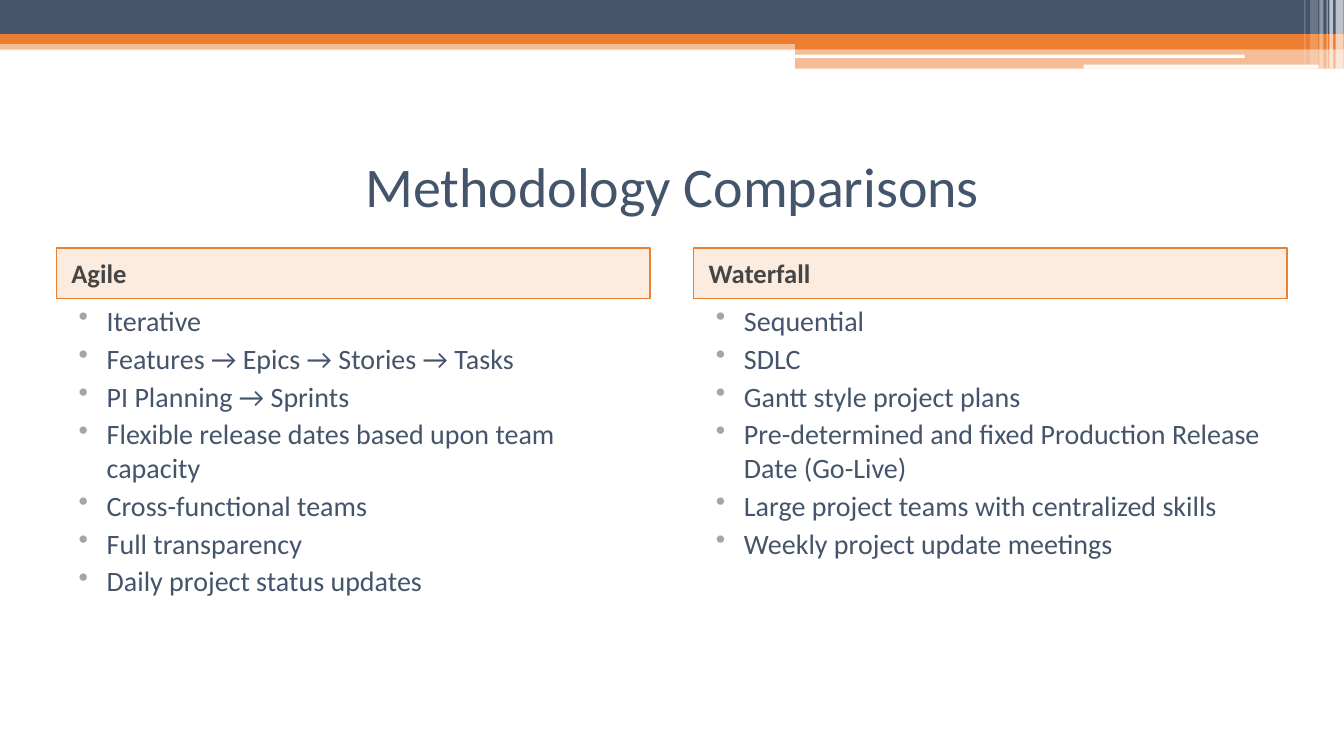
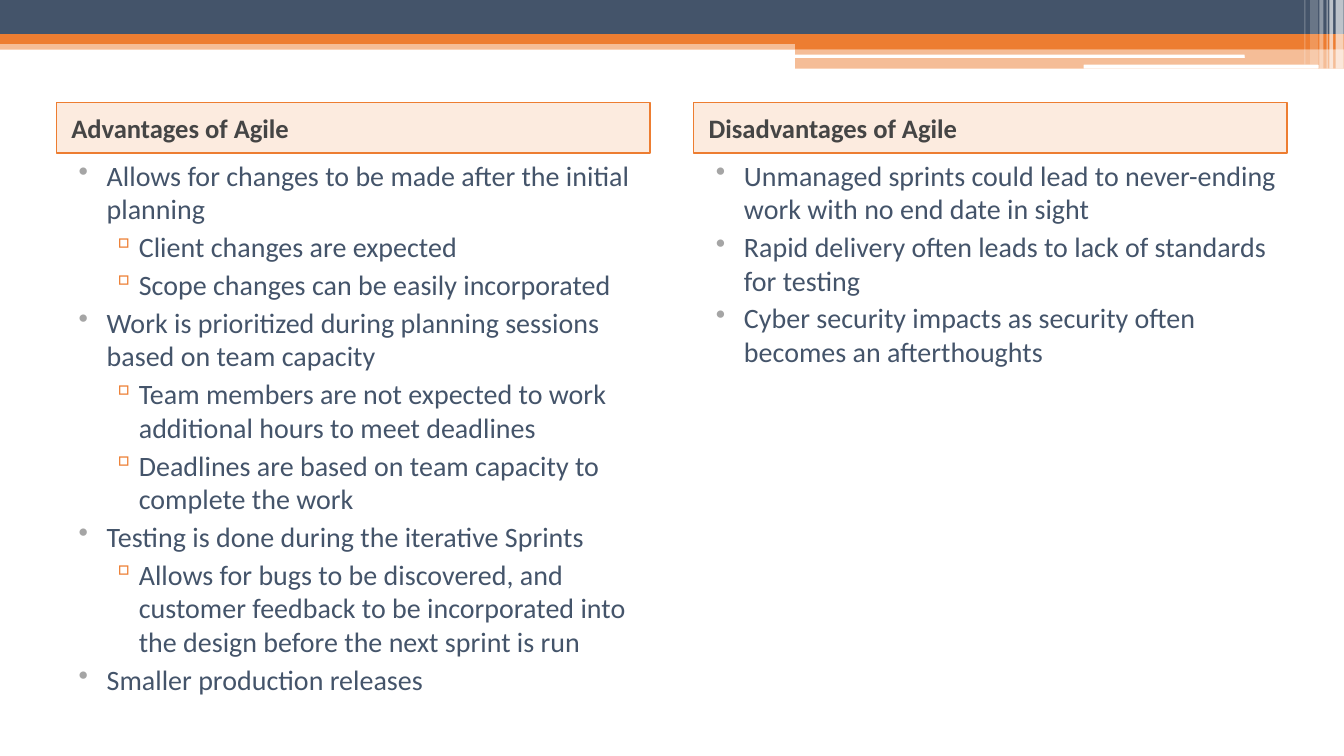
from lxml import etree
from pptx import Presentation
from pptx import util as u
from pptx.dml.color import RGBColor
from pptx.enum import shapes, text
from pptx.oxml.ns import qn

COLORS = {
    "navy": "44546A",
    "orange": "ED7D31",
    "peach": "F4B183",
    "gray": "A5A5A5",
    "dark": "454545",
    "white": "FFFFFF",
}

# Text formats
TITLE = {"size": u.Pt(40), "name": "Calibri", "bold": False, "color": "navy"}
HEADING = {"size": u.Pt(19), "name": "Calibri", "bold": True, "color": "dark"}
BODY = {"size": u.Pt(20), "name": "Calibri", "bold": False, "color": "navy"}

# Bullet levels: left margin, hanging indent, character, colour
LEVELS = [
    (u.Cm(1.02), u.Cm(-0.71), "•", "gray"),
    (u.Cm(1.83), u.Cm(-0.69), "▫", "orange"),
]

RECT = shapes.MSO_SHAPE.RECTANGLE
ROUNDED = shapes.MSO_SHAPE.ROUNDED_RECTANGLE

# Header decoration: shape, left, top, width, height (cm), colour, opacity (%)
HEADER = [
    (RECT, 0, 1.02, 33.87, 0.23, "orange", 50),
    (RECT, 0, 0, 33.87, 0.86, "navy", 100),
    (RECT, 0, 0.86, 33.87, 0.25, "orange", 100),
    (RECT, 20.04, 0.99, 13.83, 0.25, "orange", 100),
    (RECT, 20.04, 1.23, 13.83, 0.5, "orange", 50),
    (ROUNDED, 20.02, 1.38, 11.35, 0.08, "white", 100),
    (ROUNDED, 27.31, 1.63, 5.92, 0.1, "white", 100),
    (RECT, 33.66, 0, 0.2, 1.73, "white", 65),
    (RECT, 33.5, 0, 0.1, 1.73, "white", 65),
    (RECT, 33.43, 0, 0.03, 1.73, "white", 60),
    (RECT, 33.25, 0, 0.1, 1.73, "white", 40),
    (RECT, 33.02, 0, 0.2, 1.63, "white", 20),
    (RECT, 32.87, 0, 0.03, 1.63, "white", 30),
]

# Column grid (cm)
COLUMN_LEFT, COLUMN_WIDTH, COLUMN_STEP = 1.42, 14.96, 16.06
HEADING_HEIGHT, BODY_BOTTOM = 1.27, 18.31

# Slide content: each column is a heading and (level, wording) items
SLIDES = [
    {
        "title": "Methodology Comparisons",
        "top": 6.25,
        "columns": [
            ("Agile", [
                (0, "Iterative"),
                (0, "Features → Epics → Stories → Tasks"),
                (0, "PI Planning → Sprints"),
                (0, "Flexible release dates based upon team capacity"),
                (0, "Cross-functional teams"),
                (0, "Full transparency"),
                (0, "Daily project status updates"),
            ]),
            ("Waterfall", [
                (0, "Sequential"),
                (0, "SDLC"),
                (0, "Gantt style project plans"),
                (0, "Pre-determined and fixed Production Release Date (Go-Live)"),
                (0, "Large project teams with centralized skills"),
                (0, "Weekly project update meetings"),
            ]),
        ],
    },
    {
        "title": None,
        "top": 2.59,
        "columns": [
            ("Advantages of Agile", [
                (0, "Allows for changes to be made after the initial planning"),
                (1, "Client changes are expected"),
                (1, "Scope changes can be easily incorporated"),
                (0, "Work is prioritized during planning sessions based on team capacity"),
                (1, "Team members are not expected to work additional hours to meet deadlines"),
                (1, "Deadlines are based on team capacity to complete the work"),
                (0, "Testing is done during the iterative Sprints"),
                (1, "Allows for bugs to be discovered, and customer feedback to be "
                    "incorporated into the design before the next sprint is run"),
                (0, "Smaller production releases"),
            ]),
            ("Disadvantages of Agile", [
                (0, "Unmanaged sprints could lead to never-ending work with no end date in sight"),
                (0, "Rapid delivery often leads to lack of standards for testing"),
                (0, "Cyber security impacts as security often becomes an afterthoughts"),
            ]),
        ],
    },
]


def add_block(page, kind, left, top, width, height, color, opacity):
    """Add a borderless shape with a solid, possibly transparent fill."""
    block = page.shapes.add_shape(kind, u.Cm(left), u.Cm(top), u.Cm(width), u.Cm(height))
    block.shadow.inherit = False
    block.line.fill.background()
    block.fill.solid()
    block.fill.fore_color.rgb = RGBColor.from_string(COLORS[color])
    if opacity < 100:
        tint = block.fill._xPr.find(qn("a:solidFill"))[0]
        etree.SubElement(tint, qn("a:alpha"), val=str(opacity * 1000))
    return block


def write(para, wording, style):
    """Put wording into a paragraph and format it."""
    span = para.add_run()
    span.text = wording
    for key, value in style.items():
        if key == "color":
            span.font.color.rgb = RGBColor.from_string(COLORS[value])
        else:
            setattr(span.font, key, value)


deck = Presentation()
deck.slide_width, deck.slide_height = u.Cm(33.87), u.Cm(19.05)

for content in SLIDES:
    page = deck.slides.add_slide(deck.slide_layouts[6])

    # Header band
    for part in HEADER:
        add_block(page, *part)

    # Title
    if content["title"]:
        box = page.shapes.add_textbox(u.Cm(COLUMN_LEFT), u.Cm(3.18), u.Cm(31.04), u.Cm(2.97))
        box.text_frame.word_wrap = True
        box.text_frame.vertical_anchor = text.MSO_ANCHOR.MIDDLE
        para = box.text_frame.paragraphs[0]
        para.alignment = text.PP_ALIGN.CENTER
        write(para, content["title"], TITLE)

    for column, (heading, items) in enumerate(content["columns"]):
        left = COLUMN_LEFT + column * COLUMN_STEP
        body_top = content["top"] + HEADING_HEIGHT

        # Column heading
        box = add_block(page, RECT, left, content["top"], COLUMN_WIDTH, HEADING_HEIGHT, "peach", 25)
        box.line.color.rgb = RGBColor.from_string(COLORS["orange"])
        box.line.width = u.Pt(1)
        box.text_frame.word_wrap = True
        box.text_frame.vertical_anchor = text.MSO_ANCHOR.MIDDLE
        box.text_frame.margin_left = u.Cm(0.38)
        para = box.text_frame.paragraphs[0]
        para.alignment = text.PP_ALIGN.LEFT
        write(para, heading, HEADING)

        # Bulleted list
        box = page.shapes.add_textbox(u.Cm(left), u.Cm(body_top), u.Cm(COLUMN_WIDTH),
                                      u.Cm(BODY_BOTTOM - body_top))
        frame = box.text_frame
        frame.word_wrap = True
        for number, (level, wording) in enumerate(items):
            para = frame.add_paragraph() if number else frame.paragraphs[0]
            if number:
                para.space_before = u.Pt(3)
            para.level = level
            margin, indent, bullet, color = LEVELS[level]
            props = para._p.get_or_add_pPr()
            props.set("marL", str(margin))
            props.set("indent", str(indent))
            bullet_color = etree.SubElement(props, qn("a:buClr"))
            etree.SubElement(bullet_color, qn("a:srgbClr"), val=COLORS[color])
            etree.SubElement(props, qn("a:buChar"), char=bullet)
            write(para, wording, BODY)

deck.save("out.pptx")
